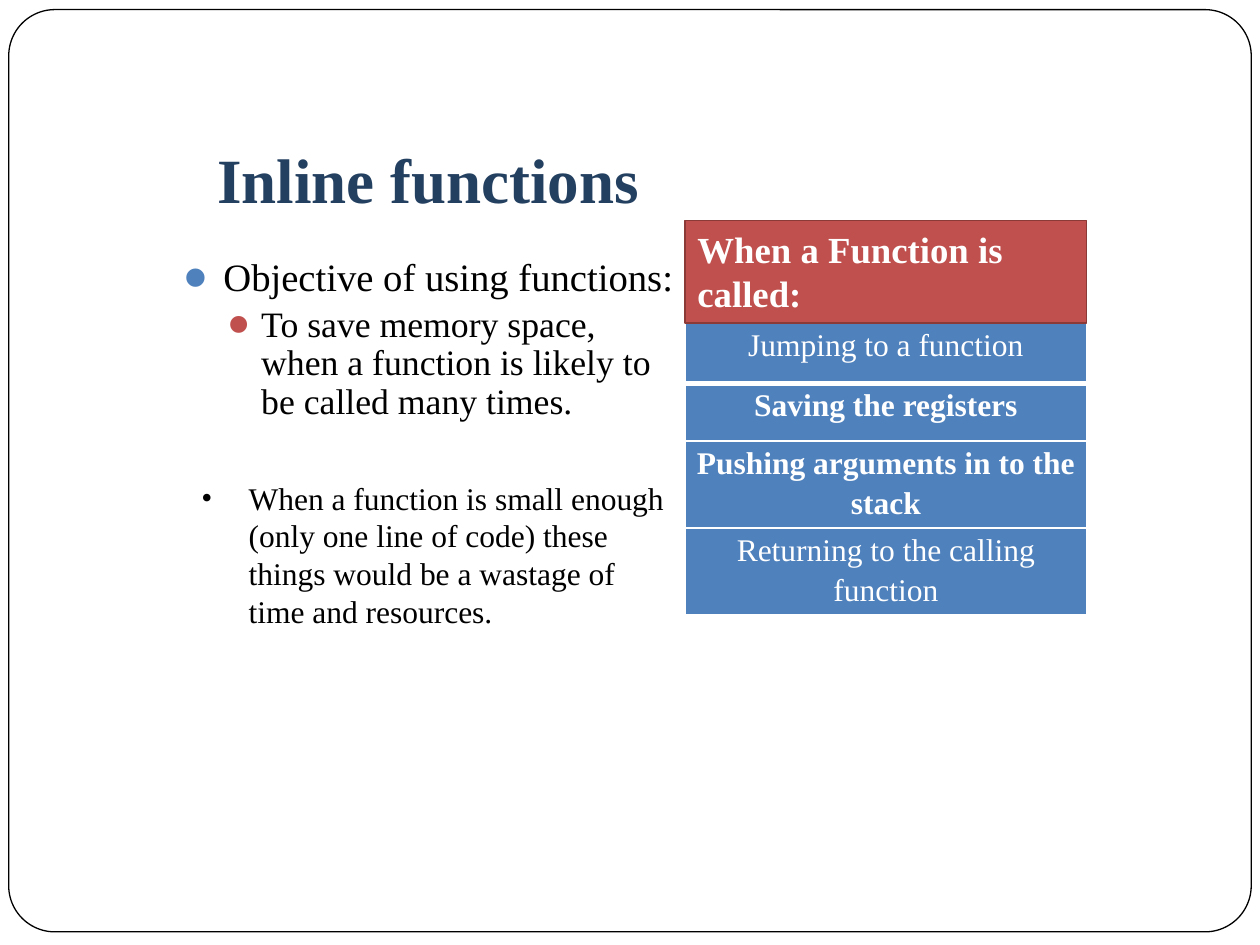
import pptx
import pptx.util
import pptx.dml.color
import pptx.enum.shapes
import pptx.enum.text
import pptx.oxml.ns
from lxml import etree

Pt = pptx.util.Pt
Shapes = pptx.enum.shapes.MSO_SHAPE
Anchor = pptx.enum.text.MSO_ANCHOR
Align = pptx.enum.text.PP_ALIGN

FONT = "Times New Roman"
BLUE, RED, BLACK, WHITE = "4F81BD", "C0504D", "000000", "FFFFFF"

TITLE = "Inline functions"
OBJECTIVE = [
    dict(text="Objective of using functions:", size=22.1, bullet="⚫", bullet_color=BLUE,
         bullet_size=85, left=21.6, hang=21.6, line=0.9, before=0),
    dict(text="To save memory space, when a function is likely to be called many times.",
         size=20.4, bullet="⚫", bullet_color=RED,
         bullet_size=85, left=43.2, hang=18, line=0.9, before=3.7),
]
SMALL_FUNCTION = [
    dict(text="When a function is small enough (only one line of code) these things "
              "would be a wastage of time and resources.",
         size=18, bullet="•", bullet_color=BLACK,
         bullet_size=100, left=27, hang=27, line=1.0, before=0),
]
CALL_HEADING = "When a Function is called:"
CALL_STEPS = [
    ("Jumping to a function", 34.5, False),
    ("Saving the registers", 33, True),
    ("Pushing arguments in to the stack", 47.5, True),
    ("Returning to the calling function", 47.5, False),
]


def rgb(value):
    return pptx.dml.color.RGBColor.from_string(value)


def style(para, size, color, bold=False):
    for span in para.runs:
        span.font.name = FONT
        span.font.size = Pt(size)
        span.font.bold = bold
        span.font.color.rgb = rgb(color)


def child(parent, tag, **attributes):
    return etree.SubElement(parent, pptx.oxml.ns.qn(tag), attributes)


def set_frame(frame, bottom=3.6, anchor=Anchor.TOP):
    frame.word_wrap = True
    frame.margin_left = frame.margin_right = Pt(7.2)
    frame.margin_top, frame.margin_bottom = Pt(3.6), Pt(bottom)
    frame.vertical_anchor = anchor


def add_text(page, area, **frame_options):
    box = page.shapes.add_textbox(*map(Pt, area))
    set_frame(box.text_frame, **frame_options)
    return box.text_frame


def add_panel(page, kind, area, fill, line, width):
    panel = page.shapes.add_shape(kind, *map(Pt, area))
    panel.shadow.inherit = False
    panel.fill.solid()
    panel.fill.fore_color.rgb = rgb(fill)
    panel.line.color.rgb = rgb(line)
    panel.line.width = Pt(width)
    return panel


def add_bullets(page, area, items):
    frame = add_text(page, area)
    for index, item in enumerate(items):
        para = frame.add_paragraph() if index else frame.paragraphs[0]
        para.text = item["text"]
        para.line_spacing = item["line"]
        para.space_before = Pt(item["before"])
        properties = para._p.get_or_add_pPr()
        properties.set("marL", str(Pt(item["left"])))
        properties.set("indent", str(-Pt(item["hang"])))
        color = child(properties, "a:buClr")
        child(color, "a:srgbClr", val=item["bullet_color"])
        child(properties, "a:buSzPct", val=str(item["bullet_size"] * 1000))
        child(properties, "a:buFont", typeface=FONT)
        child(properties, "a:buChar", char=item["bullet"])
        style(para, item["size"], BLACK)


def add_border(cell, side, width):
    line = child(cell._tc.get_or_add_tcPr(), "a:ln" + side, w=str(Pt(width)))
    child(child(line, "a:solidFill"), "a:srgbClr", val=WHITE)


def add_steps(page, left, top, width, steps):
    height = sum(step[1] for step in steps)
    area = map(Pt, (left, top, width, height))
    table = page.shapes.add_table(len(steps), 1, *area).table
    table.first_row = table.horz_banding = False
    for index, (text, row_height, bold) in enumerate(steps):
        table.rows[index].height = Pt(row_height)
        cell = table.cell(index, 0)
        cell.margin_left = cell.margin_right = Pt(4.3)
        cell.margin_top = cell.margin_bottom = 0
        top_width = 3 if index == 1 else 1
        bottom_width = 3 if index == 0 else 1
        for side, border in zip("LRTB", (1, 1, top_width, bottom_width)):
            add_border(cell, side, border)
        cell.fill.solid()
        cell.fill.fore_color.rgb = rgb(BLUE)
        para = cell.text_frame.paragraphs[0]
        para.text = text
        para.alignment = Align.CENTER
        para.line_spacing = 1.15
        style(para, 18, WHITE, bold)


def main():
    deck = pptx.Presentation()
    deck.slide_width, deck.slide_height = Pt(720), Pt(540)
    page = deck.slides.add_slide(deck.slide_layouts[6])

    border = add_panel(page, Shapes.ROUNDED_RECTANGLE, (5, 5.5, 710, 527), WHITE, BLACK, 0.75)
    border.adjustments[0] = 0.05

    title = add_text(page, (117, 83.5, 486, 47), bottom=7.2, anchor=Anchor.BOTTOM)
    title.text = TITLE
    style(title.paragraphs[0], 36, "244061", True)

    add_bullets(page, (99, 144, 297, 104), OBJECTIVE)
    add_steps(page, 391.5, 184.5, 229.5, CALL_STEPS)
    add_bullets(page, (108, 270, 279, 94.5), SMALL_FUNCTION)

    heading = add_panel(page, Shapes.RECTANGLE, (391.5, 126, 229.5, 58.5), RED, "8C3A38", 1)
    set_frame(heading.text_frame)
    heading.text_frame.text = CALL_HEADING
    para = heading.text_frame.paragraphs[0]
    para.alignment = Align.LEFT
    style(para, 21, WHITE, True)

    deck.save("out.pptx")


if __name__ == "__main__":
    main()
